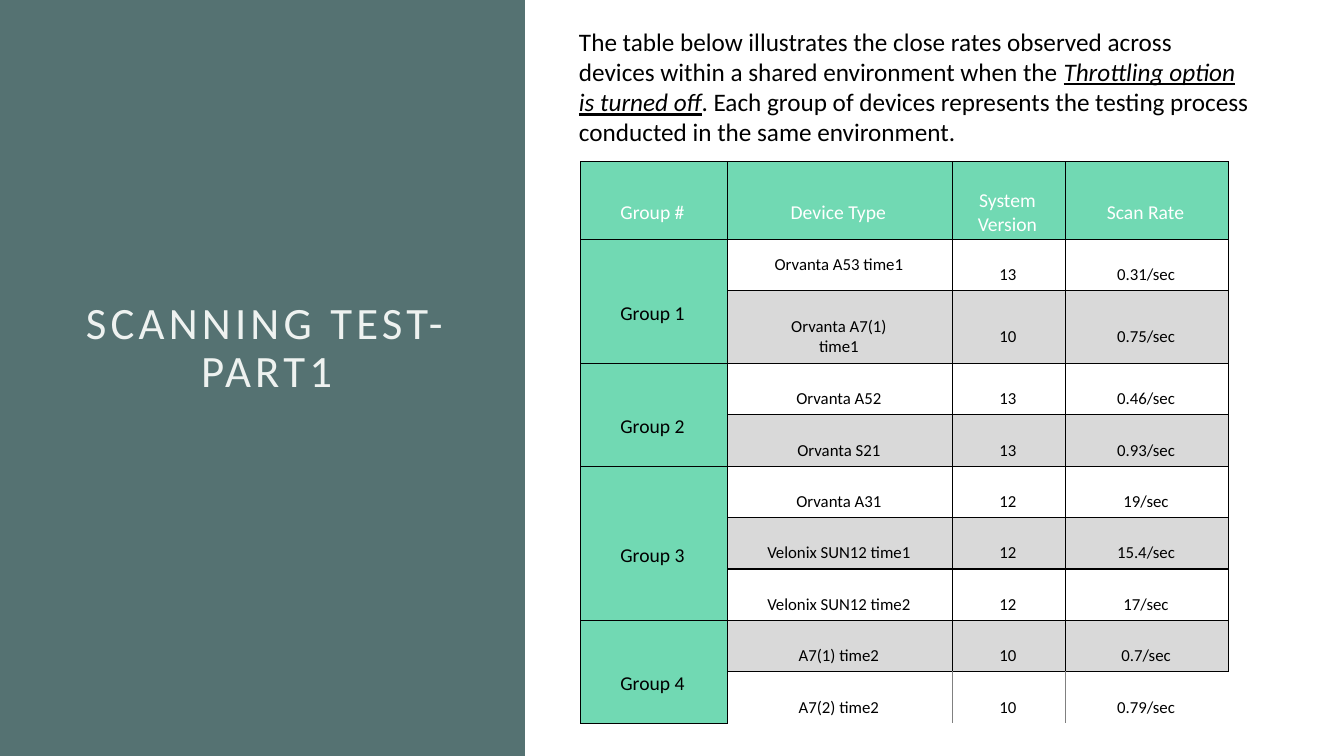
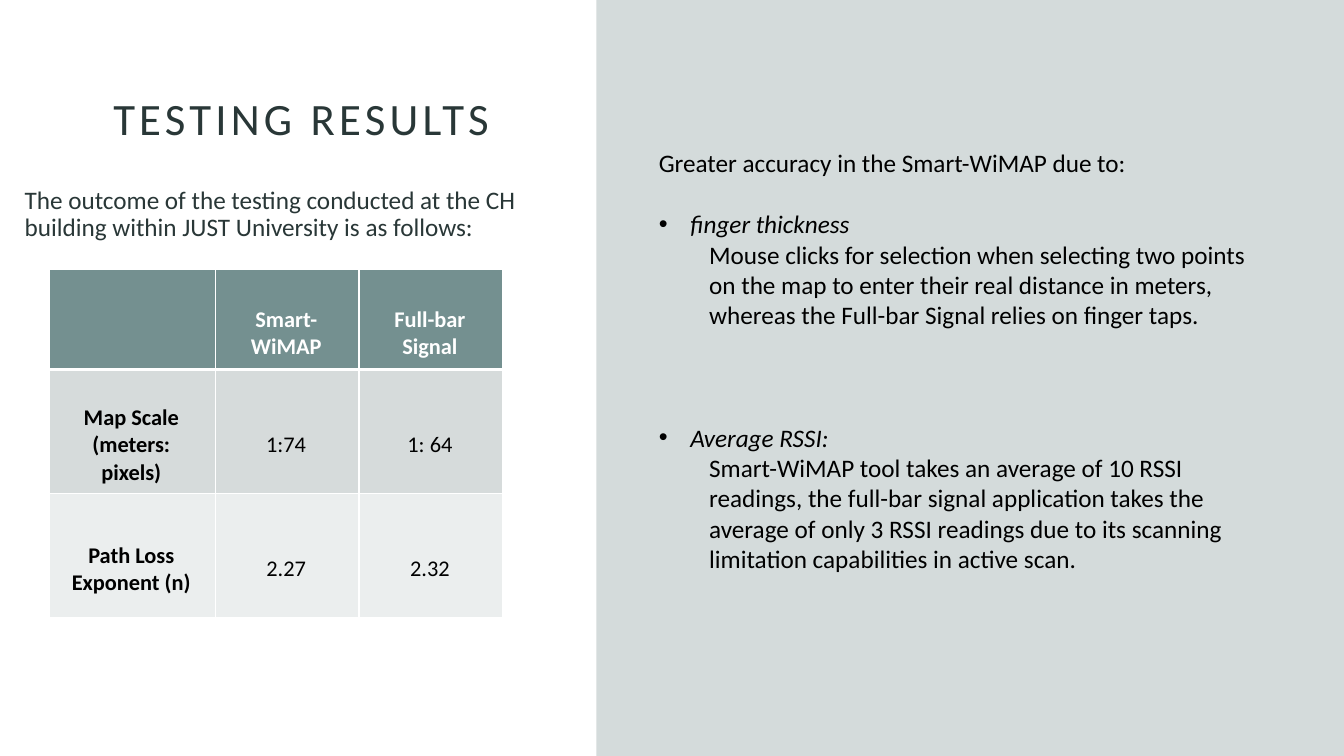
from lxml.etree import SubElement
from pptx import Presentation
from pptx.dml.color import RGBColor
from pptx.enum.shapes import MSO_SHAPE
from pptx.enum.text import MSO_ANCHOR, PP_ALIGN
from pptx.oxml.ns import qn
from pptx.util import Emu, Pt

PX = 9525
WIDTH, HEIGHT = 1280, 720
FONT = "Calibri"
COLORS = {
    "panel": "557272",
    "light": "EEF2F0",
    "dark": "293737",
    "black": "000000",
    "white": "FFFFFF",
    "green": "71D9B3",
    "gray": "D9D9D9",
    "rule": "808080",
    "head": "749090",
    "band1": "D6DBDB",
    "band2": "EBEEEE",
}
SIDES = ("L", "R", "T", "B")

SCAN_HEADER = ["Group #", "Device Type", "System Version", "Scan Rate"]
SCAN_GROUPS = [
    ("Group 1", [("Orvanta A53 time1", "13", "0.31/sec"),
                 ("Orvanta A7(1)\ntime1", "10", "0.75/sec")]),
    ("Group 2", [("Orvanta A52", "13", "0.46/sec"),
                 ("Orvanta S21", "13", "0.93/sec")]),
    ("Group 3", [("Orvanta A31", "12", "19/sec"),
                 ("Velonix SUN12 time1", "12", "15.4/sec"),
                 ("Velonix SUN12 time2", "12", "17/sec")]),
    ("Group 4", [("A7(1) time2", "10", "0.7/sec"),
                 ("A7(2) time2", "10", "0.79/sec")]),
]
RESULTS = [
    ["", "Smart-WiMAP", "Full-bar Signal"],
    ["Map Scale (meters: pixels)", "1:74", "1: 64"],
    ["Path Loss Exponent (n)", "2.27", "2.32"],
]
REASONS = [
    ("finger thickness", 22,
     "Mouse clicks for selection when selecting two points on the map to enter "
     "their real distance in meters, whereas the Full-bar Signal relies on finger taps."),
    ("Average RSSI:", 66,
     "Smart-WiMAP tool takes an average of 10 RSSI readings, the full-bar signal "
     "application takes the average of only 3 RSSI readings due to its scanning "
     "limitation capabilities in active scan."),
]


def px(n):
    return Emu(n * PX)


def rgb(name):
    return RGBColor.from_string(COLORS[name])


def add_run(p, text, size=18, color="black", bold=False, italic=False,
            underline=False, tracking=0):
    r = p.add_run()
    r.text = text
    f = r.font
    f.name, f.size = FONT, Pt(size)
    f.bold, f.italic, f.underline = bold, italic, underline
    f.color.rgb = rgb(color)
    if tracking:
        r._r.get_or_add_rPr().set("spc", str(tracking * 100))


def add_text_box(s, x, y, w, h, anchor=MSO_ANCHOR.TOP):
    tf = s.shapes.add_textbox(px(x), px(y), px(w), px(h)).text_frame
    tf.word_wrap = True
    tf.vertical_anchor = anchor
    return tf


def add_title(s, text, x, y, w, h, color):
    p = add_text_box(s, x, y, w, h, MSO_ANCHOR.BOTTOM).paragraphs[0]
    p.alignment = PP_ALIGN.CENTER
    p.line_spacing = 0.9
    add_run(p, text, size=32, color=color, tracking=3)


def add_panel(s, x, w, opacity=100):
    sp = s.shapes.add_shape(MSO_SHAPE.RECTANGLE, px(x), 0, px(w), px(HEIGHT))
    sp.shadow.inherit = False
    sp.fill.solid()
    sp.fill.fore_color.rgb = rgb("panel")
    sp.line.fill.background()
    if opacity < 100:
        clr = sp._element.spPr.find(qn("a:solidFill")).find(qn("a:srgbClr"))
        SubElement(clr, qn("a:alpha")).set("val", str(opacity * 1000))


def indent(p, left, hanging=0, bullet=None):
    pPr = p._p.get_or_add_pPr()
    pPr.set("marL", str(px(left)))
    pPr.set("indent", str(px(-hanging)))
    if bullet:
        SubElement(pPr, qn("a:buFont")).set("typeface", "Arial")
        SubElement(pPr, qn("a:buChar")).set("char", bullet)


def add_grid(s, x, y, cols, rows):
    frame = s.shapes.add_table(len(rows), len(cols), px(x), px(y),
                               px(sum(cols)), px(sum(rows)))
    table = frame.table
    table.first_row = table.horz_banding = False
    for col, w in zip(table.columns, cols):
        col.width = px(w)
    for row, h in zip(table.rows, rows):
        row.height = px(h)
    return table


def set_borders(cell, borders):
    tcPr = cell._tc.get_or_add_tcPr()
    for i, side in enumerate(SIDES):
        color, width = borders[side]
        ln = SubElement(tcPr, qn(f"a:ln{side}"))
        ln.set("w", str(Pt(width)))
        if color:
            fill = SubElement(ln, qn("a:solidFill"))
            SubElement(fill, qn("a:srgbClr")).set("val", COLORS[color])
        else:
            SubElement(ln, qn("a:noFill"))
        tcPr.insert(i, ln)


def fill_cell(cell, text, fill, borders, margins, **fmt):
    cell.vertical_anchor = MSO_ANCHOR.MIDDLE
    (cell.margin_left, cell.margin_top,
     cell.margin_right, cell.margin_bottom) = map(px, margins)
    if fill:
        cell.fill.solid()
        cell.fill.fore_color.rgb = rgb(fill)
    else:
        cell.fill.background()
    set_borders(cell, borders)
    for i, line in enumerate(text.split("\n") if text else []):
        tf = cell.text_frame
        p = tf.add_paragraph() if i else tf.paragraphs[0]
        p.alignment = PP_ALIGN.CENTER
        add_run(p, line, **fmt)


def add_scan_table(s):
    rows = [74, 49, 69] + [49] * 7
    table = add_grid(s, 553, 154, [140, 214, 108, 155], rows)
    black = dict.fromkeys(SIDES, ("black", 1))
    label_margins = (4, 26, 7, 3)
    for c, text in enumerate(SCAN_HEADER):
        fill_cell(table.cell(0, c), text, "green", black, label_margins,
                  size=14, color="white")
    r = 1
    for group, devices in SCAN_GROUPS:
        first = r
        for device in devices:
            fill_cell(table.cell(r, 0), group if r == first else "", "green",
                      black, label_margins, size=14)
            for c, text in enumerate(device, 1):
                borders = dict(black)
                if r == len(rows) - 1:
                    borders["B"] = (None, 0)
                    borders["R"] = ("rule", 0.5) if c < 3 else (None, 0)
                    if c > 1:
                        borders["L"] = ("rule", 0.5)
                top = 3 if (r, c) == (1, 1) else 22
                fill_cell(table.cell(r, c), text, None if r % 2 else "gray",
                          borders, (4, top, 6, 3), size=12)
            r += 1
        table.cell(first, 0).merge(table.cell(r - 1, 0))


def add_results_table(s):
    table = add_grid(s, 47, 257, [158, 137, 137], [95, 118, 118])
    for r, (row, fill) in enumerate(zip(RESULTS, ("head", "band1", "band2"))):
        borders = dict.fromkeys(SIDES, ("white", 1))
        if r < 2:
            borders["T" if r else "B"] = ("white", 3)
        for c, text in enumerate(row):
            fill_cell(table.cell(r, c), text, fill, borders, (11, 32, 13, 6),
                      size=16, color="black" if r else "white",
                      bold=r == 0 or c == 0)


def add_reasons(s):
    tf = add_text_box(s, 618, 136, 602, 417)
    add_run(tf.paragraphs[0], "Greater accuracy in the Smart-WiMAP due to:")
    for heading, gap, detail in REASONS:
        p = tf.add_paragraph()
        p.space_before = Pt(gap)
        indent(p, 30, 30, "•")
        add_run(p, heading, italic=True)
        p = tf.add_paragraph()
        p.level = 1
        indent(p, 48)
        add_run(p, detail)


def scanning_slide(s):
    add_panel(s, 0, 500)
    add_title(s, "SCANNING TEST- PART1", 42, 270, 424, 113, "light")
    add_scan_table(s)
    p = add_text_box(s, 542, 20, 661, 126).paragraphs[0]
    add_run(p, "The table below illustrates the close rates observed across devices "
               "within a shared environment when the ")
    add_run(p, "Throttling option is turned off", italic=True, underline=True)
    add_run(p, ". Each group of devices represents the testing process conducted "
               "in the same environment.")


def results_slide(s):
    add_panel(s, 568, WIDTH - 568, opacity=25)
    add_title(s, "TESTING RESULTS", 14, 54, 546, 89, "dark")
    p = add_text_box(s, 14, 174, 569, 96).paragraphs[0]
    p.line_spacing = 0.9
    add_run(p, "The outcome of the testing conducted at the CH building within "
               "JUST University is as follows:", color="dark")
    add_results_table(s)
    add_reasons(s)


def main():
    prs = Presentation()
    prs.slide_width, prs.slide_height = px(WIDTH), px(HEIGHT)
    for build in (scanning_slide, results_slide):
        build(prs.slides.add_slide(prs.slide_layouts[6]))
    prs.save("out.pptx")


if __name__ == "__main__":
    main()
